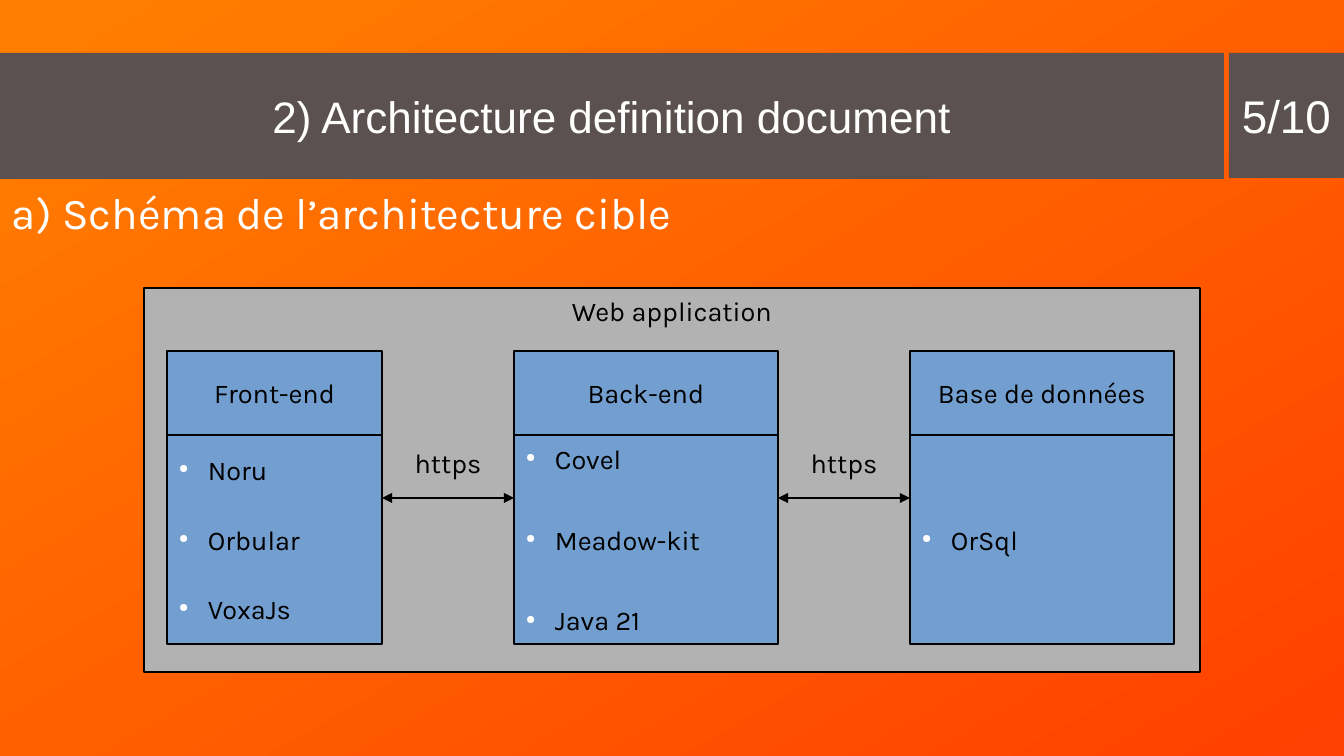
from lxml.etree import SubElement
from pptx import Presentation
from pptx.dml.color import RGBColor
from pptx.enum.shapes import MSO_CONNECTOR as Line, MSO_SHAPE as Shape
from pptx.enum.text import MSO_ANCHOR as Anchor, PP_ALIGN as Align
from pptx.oxml.ns import qn
from pptx.util import Emu, Pt

TITLE = " Architecture definition document"
PAGE_NUMBER = "5/10"
HEADING = " Schéma de l’architecture cible"
SYSTEM = "Web application"
LINK = "https"
TIERS = [
    {"name": "Front-end", "left": 167, "width": 215, "before": 11.9, "after": 9.9,
     "tools": ["Noru", "Orbular", "VoxaJs"]},
    {"name": "Back-end", "left": 514, "width": 264, "before": 14.2, "after": 14.2,
     "tools": ["Covel", "Meadow-kit", "Java 21"]},
    {"name": "Base de données", "left": 910, "width": 264, "before": 0, "after": 0,
     "tools": ["OrSql"]},
]

WHITE = RGBColor(0xFF, 0xFF, 0xFF)
BLACK = RGBColor(0, 0, 0)
BROWN = RGBColor(0x5C, 0x51, 0x51)
GREY = RGBColor(0xB2, 0xB2, 0xB2)
BLUE = RGBColor(0x72, 0x9F, 0xCF)
ORANGE = RGBColor(0xFF, 0x80, 0x00)
RED = RGBColor(0xFF, 0x40, 0x00)

PX = 914400 / 122
PAGE_WIDTH, PAGE_HEIGHT = 1344, 756
HEADER_TOP, HEADER_HEIGHT = 351, 84
BODY_TOP, BODY_HEIGHT = HEADER_TOP + HEADER_HEIGHT, 209
LINK_Y, LABEL_HEIGHT = 498, 70
INDENT = 29
LINE_WIDTH = Pt(0.85)
DOT = ("buChar", {"char": "●"})


def px(length):
    return Emu(round(length * PX))


def add_bullet(para, bullet):
    tag, attributes = bullet
    props = para._p.get_or_add_pPr()
    props.set("marL", str(px(INDENT)))
    props.set("indent", str(-px(INDENT)))
    color = SubElement(props, qn("a:buClr"))
    SubElement(color, qn("a:srgbClr"), val=str(WHITE))
    if tag == "buChar":
        SubElement(props, qn("a:buSzPct"), val="45000")
    SubElement(props, qn("a:" + tag), attributes)


def write(box, *lines, size=16, font="Karla", color=BLACK, align=Align.CENTER,
          anchor=Anchor.MIDDLE, before=0, after=0, bullet=None, wrap=True, margins=(12, 6)):
    frame = box.text_frame
    frame.word_wrap = wrap
    frame.vertical_anchor = anchor
    frame.margin_left = frame.margin_right = px(margins[0])
    frame.margin_top = frame.margin_bottom = px(margins[1])
    for index, line in enumerate(lines):
        para = frame.add_paragraph() if index else frame.paragraphs[0]
        para.alignment = align
        para.space_before, para.space_after = Pt(before), Pt(after)
        if bullet:
            add_bullet(para, bullet)
        span = para.add_run()
        span.text = line
        span.font.size, span.font.name = Pt(size), font
        span.font.color.rgb = color


def add_box(page, left, top, width, height, fill, outline=None):
    box = page.shapes.add_shape(Shape.RECTANGLE, px(left), px(top), px(width), px(height))
    box.shadow.inherit = False
    box.fill.solid()
    box.fill.fore_color.rgb = fill
    if outline is None:
        box.line.fill.background()
    else:
        box.line.color.rgb = outline
        box.line.width = LINE_WIDTH
    return box


def add_label(page, left, top, width, height):
    return page.shapes.add_textbox(px(left), px(top), px(width), px(height))


def add_link(page, start, end):
    arrow = page.shapes.add_connector(Line.STRAIGHT, px(start), px(LINK_Y), px(end), px(LINK_Y))
    arrow.line.color.rgb = BLACK
    arrow.line.width = LINE_WIDTH
    outline = arrow.line._get_or_add_ln()
    for end_tag in ("headEnd", "tailEnd"):
        SubElement(outline, qn("a:" + end_tag), type="triangle")
    SubElement(arrow._element.spPr, qn("a:effectLst"))
    label = add_label(page, start, LINK_Y - LABEL_HEIGHT, end - start, LABEL_HEIGHT)
    write(label, LINK)


def add_tier(page, tier):
    left, width = tier["left"], tier["width"]
    header = add_box(page, left, HEADER_TOP, width, HEADER_HEIGHT, BLUE, BLACK)
    write(header, tier["name"])
    body = add_box(page, left, BODY_TOP, width, BODY_HEIGHT, BLUE, BLACK)
    write(body, *tier["tools"], align=Align.LEFT, bullet=DOT,
          before=tier["before"], after=tier["after"])


def main():
    deck = Presentation()
    deck.slide_width, deck.slide_height = px(PAGE_WIDTH), px(PAGE_HEIGHT)
    page = deck.slides.add_slide(deck.slide_layouts[6])

    backdrop = page.background.fill
    backdrop.gradient()
    backdrop.gradient_angle = 300
    for stop, color in zip(backdrop.gradient_stops, (ORANGE, RED)):
        stop.color.rgb = color

    banner = add_box(page, 0, 53, 1224, 126, BROWN)
    write(banner, TITLE, size=26, font="Arial", color=WHITE, before=14.2, margins=(0, 0),
          bullet=("buAutoNum", {"type": "arabicParenR", "startAt": "2"}))
    counter = add_box(page, 1229, 53, 115, 125, BROWN)
    write(counter, PAGE_NUMBER, size=27, font="Arial", color=WHITE, wrap=False)
    heading = add_label(page, 0, 179, PAGE_WIDTH, PAGE_HEIGHT - 179)
    write(heading, HEADING, size=26, color=WHITE, align=Align.LEFT, anchor=Anchor.TOP,
          bullet=("buAutoNum", {"type": "alphaLcParenR"}))

    system = add_box(page, 144, 288, 1056, 384, GREY, BLACK)
    write(system, SYSTEM, anchor=Anchor.TOP)
    for tier in TIERS:
        add_tier(page, tier)
    for source, target in zip(TIERS, TIERS[1:]):
        add_link(page, source["left"] + source["width"], target["left"])

    deck.save("out.pptx")


if __name__ == "__main__":
    main()
